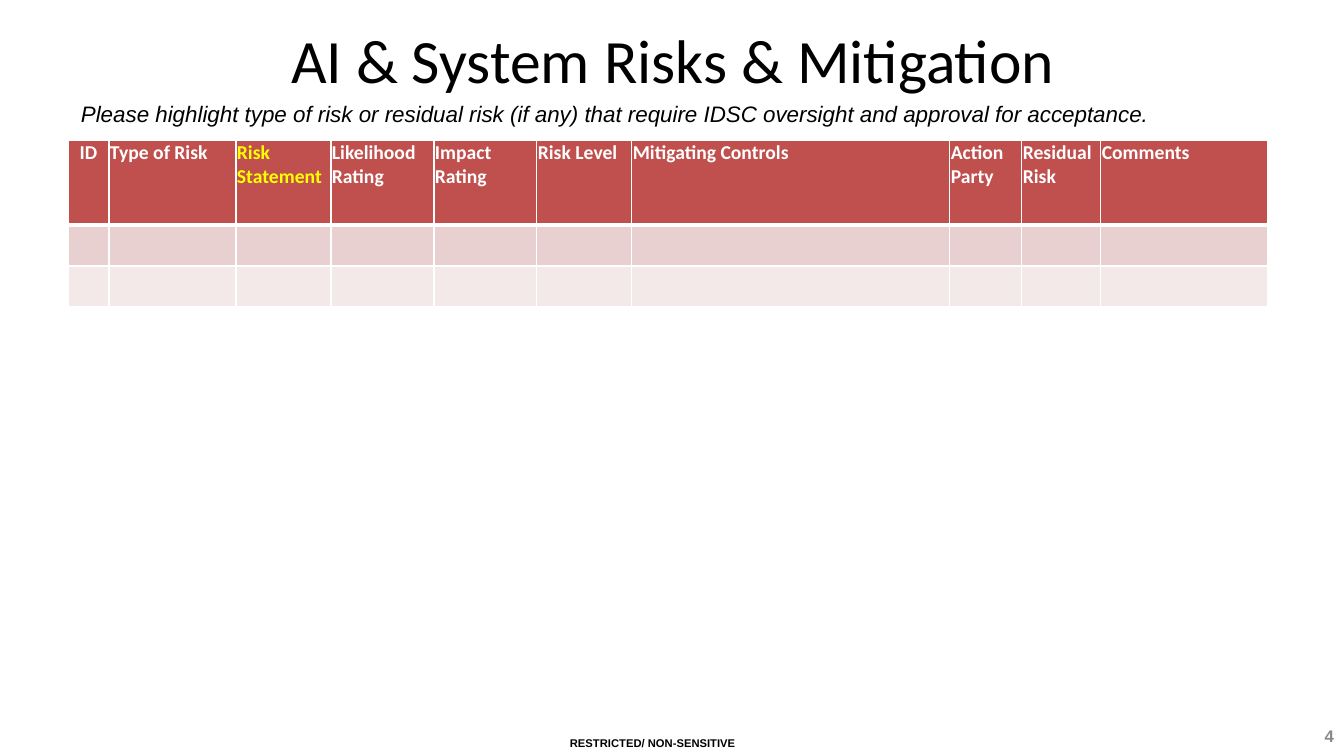
"""Build the AI and system risks slide with its risk register table."""
from lxml.etree import SubElement
from pptx import Presentation
from pptx.dml.color import RGBColor
from pptx.enum.text import MSO_ANCHOR, PP_ALIGN
from pptx.oxml.ns import qn
from pptx.util import Emu, Pt

BLACK = RGBColor(0x00, 0x00, 0x00)
WHITE = RGBColor(0xFF, 0xFF, 0xFF)
YELLOW = RGBColor(0xFF, 0xFF, 0x00)
GREY = RGBColor(0x89, 0x89, 0x89)
RED = RGBColor(0xC0, 0x50, 0x4D)
PINK = RGBColor(0xE8, 0xD0, 0xD0)
PALE_PINK = RGBColor(0xF4, 0xE9, 0xE9)

TITLE = "AI & System Risks & Mitigation"
INSTRUCTION = (
    "Please highlight type of risk or residual risk (if any) that require "
    "IDSC oversight and approval for acceptance."
)
CLASSIFICATION = "RESTRICTED/ NON-SENSITIVE"
PAGE_NUMBER = "4"

COLUMNS = [
    ("ID", 41),
    ("Type of Risk", 127),
    ("Risk Statement", 95),
    ("Likelihood Rating", 103),
    ("Impact Rating", 103),
    ("Risk Level", 95),
    ("Mitigating Controls", 318),
    ("Action Party", 72),
    ("Residual Risk", 79),
    ("Comments", 167),
]
HIGHLIGHTED = "Risk Statement"
ROWS = [(85, RED), (41, PINK), (41, PALE_PINK)]
TABLE_LEFT, TABLE_TOP = 68, 140


def px(length):
    """Turn pixels into EMU."""
    return Emu(round(length * 914400 / 100.8))


def style(paragraph, font_name, size, color, bold=False, italic=False):
    """Format every run of a paragraph."""
    for run in paragraph.runs:
        font = run.font
        font.name, font.size = font_name, Pt(size)
        font.bold, font.italic = bold, italic
        font.color.rgb = color


def add_text(slide, box, text, font_name, size, color, align=PP_ALIGN.LEFT,
             anchor=MSO_ANCHOR.TOP, wrap=True, **emphasis):
    """Add a text box with one formatted paragraph."""
    frame = slide.shapes.add_textbox(*map(px, box)).text_frame
    frame.text = text
    frame.word_wrap = wrap
    frame.vertical_anchor = anchor
    paragraph = frame.paragraphs[0]
    paragraph.alignment = align
    style(paragraph, font_name, size, color, **emphasis)


def set_borders(cell, bottom_width):
    """Draw white borders around a cell, ahead of its fill."""
    properties = cell._tc.get_or_add_tcPr()
    widths = {"lnL": 1, "lnR": 1, "lnT": 1, "lnB": bottom_width}
    for index, (side, width) in enumerate(widths.items()):
        line = SubElement(properties, qn(f"a:{side}"), w=str(Pt(width)))
        fill = SubElement(line, qn("a:solidFill"))
        SubElement(fill, qn("a:srgbClr"), val=str(WHITE))
        properties.insert(index, line)


def fill_heading(cell, heading):
    """Write one column heading."""
    cell.text = heading
    cell.margin_left = cell.margin_right = cell.margin_top = px(1)
    cell.margin_bottom = 0
    paragraph = cell.text_frame.paragraphs[0]
    paragraph.alignment = PP_ALIGN.CENTER if heading == "ID" else PP_ALIGN.LEFT
    color = YELLOW if heading == HIGHLIGHTED else WHITE
    style(paragraph, "Calibri", 14, color, bold=True)


def add_risk_table(slide):
    """Add the risk register with its header and two blank rows."""
    width = sum(column_width for _, column_width in COLUMNS)
    height = sum(row_height for row_height, _ in ROWS)
    table = slide.shapes.add_table(
        len(ROWS), len(COLUMNS), *map(px, (TABLE_LEFT, TABLE_TOP, width, height))
    ).table
    for column, (_, column_width) in zip(table.columns, COLUMNS):
        column.width = px(column_width)
    for row_index, (row, (row_height, color)) in enumerate(zip(table.rows, ROWS)):
        row.height = px(row_height)
        for cell in row.cells:
            cell.fill.solid()
            cell.fill.fore_color.rgb = color
            set_borders(cell, 3 if row_index == 0 else 1)
    for cell, (heading, _) in zip(table.rows[0].cells, COLUMNS):
        fill_heading(cell, heading)


def main():
    """Build and save the presentation."""
    presentation = Presentation()
    presentation.slide_width, presentation.slide_height = px(1344), px(756)
    slide = presentation.slides.add_slide(presentation.slide_layouts[6])
    add_text(slide, (68, 13, 1210, 91), TITLE, "Calibri", 44, BLACK,
             align=PP_ALIGN.CENTER, anchor=MSO_ANCHOR.MIDDLE)
    add_text(slide, (1030, 716, 314, 40), PAGE_NUMBER, "Arial", 12, GREY,
             align=PP_ALIGN.RIGHT, anchor=MSO_ANCHOR.MIDDLE, bold=True)
    add_risk_table(slide)
    add_text(slide, (71, 95, 1156, 37), INSTRUCTION, "Arial", 16, BLACK, italic=True)
    add_text(slide, (560, 731, 187, 24), CLASSIFICATION, "Arial", 8, BLACK,
             wrap=False, bold=True)
    presentation.save("out.pptx")


if __name__ == "__main__":
    main()
